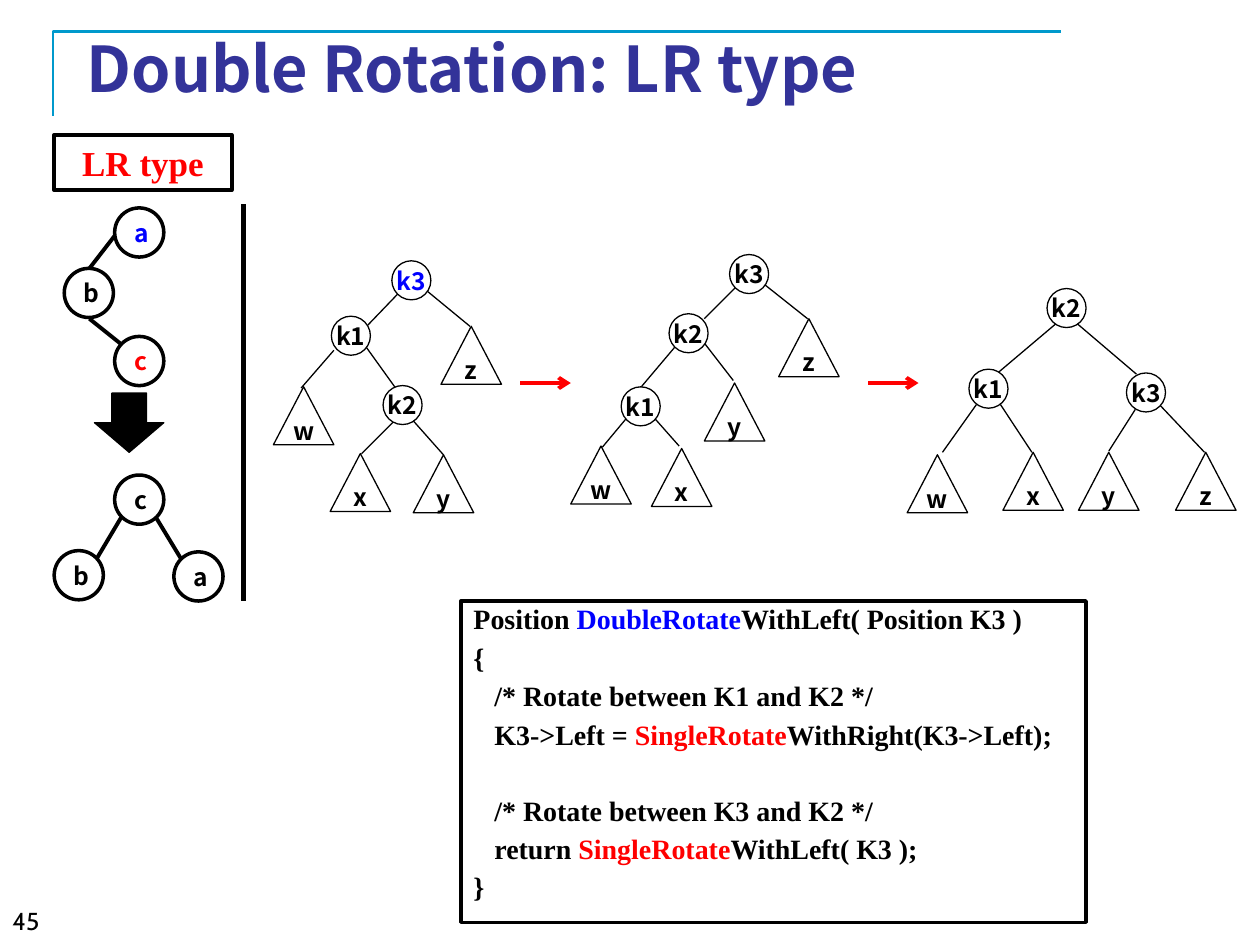
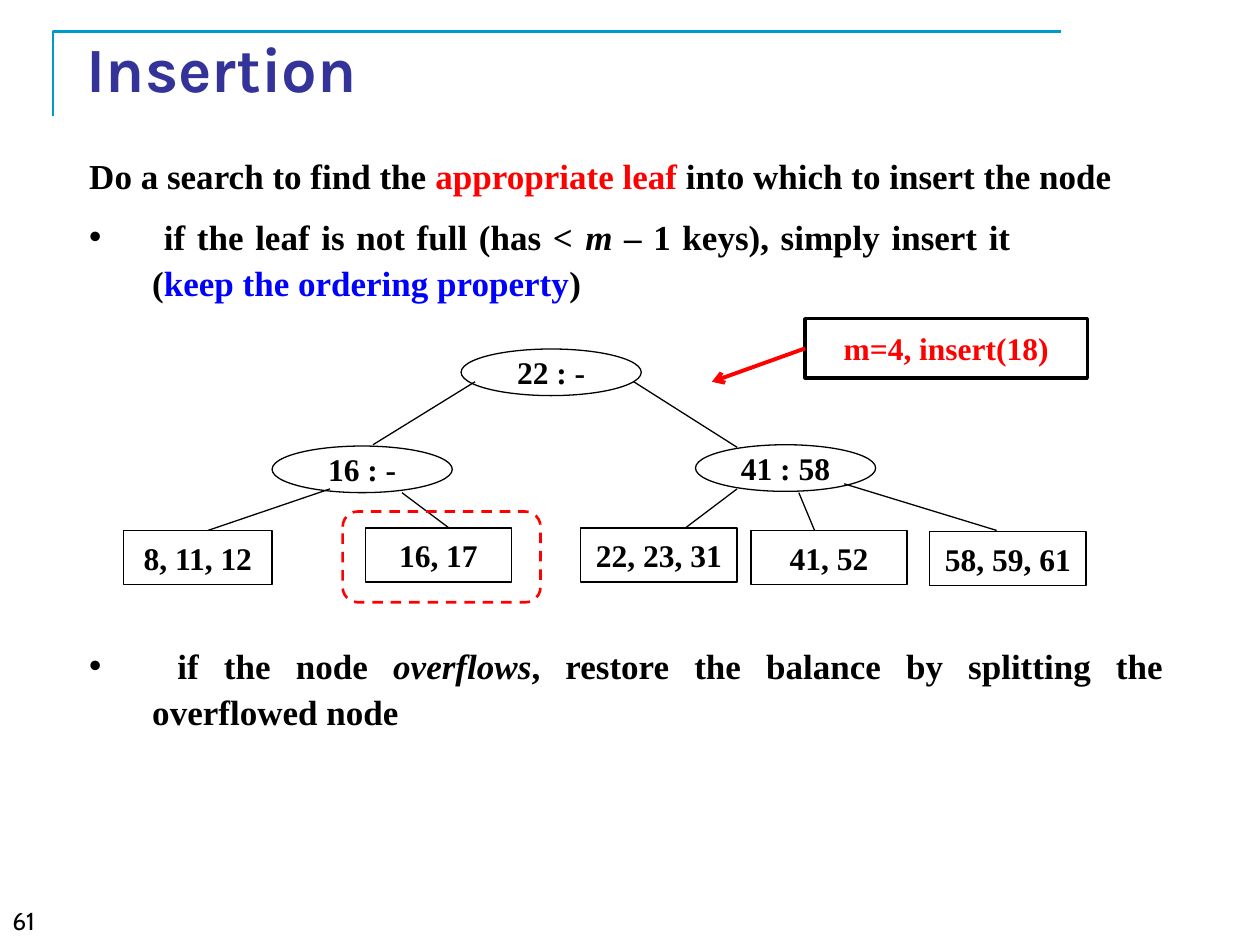
import pptx
import pptx.dml.color
import pptx.enum.dml
import pptx.enum.shapes
import pptx.enum.text
import pptx.oxml.ns
import pptx.util
from lxml import etree

Inches, Pt = pptx.util.Inches, pptx.util.Pt
SHAPE = pptx.enum.shapes.MSO_SHAPE
ALIGN = pptx.enum.text.PP_ALIGN
MIDDLE = pptx.enum.text.MSO_ANCHOR.MIDDLE
qn = pptx.oxml.ns.qn

COLOURS = {
    name: pptx.dml.color.RGBColor.from_string(value)
    for name, value in {
        "black": "000000", "white": "FFFFFF", "red": "FF0000",
        "blue": "0000FF", "title": "333399", "rule": "0099CC",
    }.items()
}

# Text formats
SANS, SERIF = "Noto Sans CJK KR", "Times New Roman"
NODE_FONT = {"name": SANS, "size": Pt(14), "bold": True}
CODE_FONT = {"name": SERIF, "size": Pt(16), "bold": True}
KEY_FONT = {"name": SERIF, "size": Pt(18), "bold": True}
BODY_FONT = {"name": SERIF, "size": Pt(20), "bold": True}
PAGE_FONT = {"name": "Cabin", "size": Pt(14)}
CENTRED = {"alignment": ALIGN.CENTER}
JUSTIFIED = {"alignment": ALIGN.JUSTIFY}
CODE_LINES = {"alignment": ALIGN.JUSTIFY, "line_spacing": 0.7}
BODY_LINES = {"alignment": ALIGN.JUSTIFY, "line_spacing": 1.1}
MID = {"word_wrap": True, "vertical_anchor": MIDDLE}
MID_NO_WRAP = {"word_wrap": False, "vertical_anchor": MIDDLE}
TOP = {"word_wrap": True}


def put(slide, kind, box, lines=(), font=None, para=CENTRED, frame=MID,
        weight=0.75, fill="white", outline="black"):
    """Add a shape (a text box if kind is None); a line is a list of (text, colour, italic)."""
    place = [Inches(v) for v in box]
    if kind is None:
        item = slide.shapes.add_textbox(*place)
    else:
        item = slide.shapes.add_shape(kind, *place)
        item.shadow.inherit = False
        if fill:
            item.fill.solid()
            item.fill.fore_color.rgb = COLOURS[fill]
        else:
            item.fill.background()
        item.line.color.rgb = COLOURS[outline]
        item.line.width = Pt(weight)
    for name, value in frame.items():
        setattr(item.text_frame, name, value)
    for number, line in enumerate(lines):
        paragraph = item.text_frame.paragraphs[0] if number == 0 else item.text_frame.add_paragraph()
        for name, value in para.items():
            setattr(paragraph, name, value)
        for text, colour, *italic in line:
            run = paragraph.add_run()
            run.text = text
            for name, value in font.items():
                setattr(run.font, name, value)
            run.font.color.rgb = COLOURS[colour]
            if italic:
                run.font.italic = italic[0]
    return item


def link(slide, x1, y1, x2, y2, weight=0.75, colour="black", arrow=False):
    connector = slide.shapes.add_connector(
        pptx.enum.shapes.MSO_CONNECTOR.STRAIGHT, *[Inches(v) for v in (x1, y1, x2, y2)])
    connector.line.color.rgb = COLOURS[colour]
    connector.line.width = Pt(weight)
    if arrow:
        etree.SubElement(connector.line._get_or_add_ln(), qn("a:tailEnd"), type="arrow")
    etree.SubElement(connector._element.spPr, qn("a:effectLst"))
    return connector


prs = pptx.Presentation()
prs.slide_width, prs.slide_height = Inches(10), Inches(7.5)

# Shared parts: corner rule, page number, title
slides = []
for title, title_face, page in [("Double Rotation: LR type", SANS, "45"), ("Insertion", "Karla", "61")]:
    slide = prs.slides.add_slide(prs.slide_layouts[6])
    corner = slide.shapes.build_freeform(Inches(0.42), Inches(0.92))
    corner.add_line_segments(
        [(Inches(0.42), Inches(0.25)), (Inches(8.42), Inches(0.25))], close=False)
    corner_rule = corner.convert_to_shape()
    corner_rule.shadow.inherit = False
    corner_rule.fill.background()
    corner_rule.line.color.rgb = COLOURS["rule"]
    corner_rule.line.width = Pt(1.5)
    put(slide, None, (0, 7.14, 3.12, 0.36), [[(page, "black")]], PAGE_FONT, {}, TOP)
    put(slide, None, (0.59, 0.3, 8.5, 0.47), [[(title, "title")]],
        {"name": title_face, "size": Pt(36), "bold": True}, JUSTIFIED)
    slides.append(slide)
rotation, insertion = slides

# Slide 1: the three trees of the rotation, edges below nodes
tree_edges = [
    # before
    (3.16, 2.33, 2.92, 2.58), (2.65, 2.78, 2.39, 3.08), (2.91, 2.76, 3.14, 3.08),
    (3.13, 3.34, 2.87, 3.6), (3.28, 3.34, 3.52, 3.61), (3.39, 2.31, 3.73, 2.59),
    # after the first single rotation
    (5.84, 2.28, 5.59, 2.53), (5.03, 3.25, 4.78, 3.55), (5.58, 2.71, 5.82, 3.02),
    (5.16, 3.28, 5.39, 3.54), (6.07, 2.26, 6.41, 2.53), (5.36, 2.75, 5.09, 3.07),
    # after the second single rotation
    (8.38, 2.57, 7.93, 2.95), (8.55, 2.57, 9.02, 2.97), (7.75, 3.21, 7.48, 3.59),
    (7.94, 3.21, 8.19, 3.59), (9.01, 3.25, 8.8, 3.58), (9.21, 3.22, 9.56, 3.59),
]
tree_keys = [
    ("k3", 3.11, 2.07, "blue"), ("k1", 2.63, 2.51, "black"), ("k2", 3.04, 3.06, "black"),
    ("k3", 5.79, 2.02, "black"), ("k2", 5.31, 2.49, "black"), ("k1", 4.93, 3.07, "black"),
    ("k2", 8.31, 2.29, "black"), ("k1", 7.69, 2.93, "black"), ("k3", 8.94, 2.96, "black"),
]
subtrees = [
    ("w", 2.17, 3.07), ("x", 2.62, 3.6), ("y", 3.28, 3.61), ("z", 3.5, 2.59),
    ("w", 4.53, 3.54), ("x", 5.17, 3.56), ("y", 5.59, 3.04), ("z", 6.18, 2.53),
    ("w", 7.2, 3.61), ("x", 7.96, 3.59), ("y", 8.56, 3.59), ("z", 9.33, 3.59),
]
for edge in tree_edges:
    link(rotation, *edge)
for label, x, y in subtrees:
    put(rotation, SHAPE.ISOSCELES_TRIANGLE, (x, y, 0.48, 0.46), [[(label, "black")]],
        NODE_FONT, frame=MID_NO_WRAP)
for label, x, y, colour in tree_keys:
    put(rotation, SHAPE.OVAL, (x, y, 0.31, 0.31), [[(label, colour)]],
        NODE_FONT, frame=MID_NO_WRAP)
for x in (4.13, 6.89):
    link(rotation, x, 3.04, x + 0.4, 3.04, 2.25, "red", arrow=True)

# Slide 1: LR pattern in the left column
put(rotation, SHAPE.RECTANGLE, (0.43, 1.07, 1.41, 0.44), [[("LR type", "red")]],
    BODY_FONT, weight=2)
link(rotation, 1.93, 1.62, 1.93, 4.77, 3)
for edge in [(0.95, 1.82, 0.71, 2.13), (0.71, 2.53, 0.96, 2.73),
             (0.96, 4.11, 0.77, 4.43), (1.24, 4.11, 1.44, 4.44)]:
    link(rotation, *edge, 2.25)
for label, x, y, colour in [
    ("a", 0.91, 1.65, "blue"), ("b", 0.51, 2.13, "black"), ("c", 0.91, 2.67, "red"),
    ("c", 0.91, 3.77, "black"), ("b", 0.43, 4.37, "black"), ("a", 1.38, 4.38, "black"),
]:
    put(rotation, SHAPE.OVAL, (x, y, 0.39, 0.39), [[(label, colour)]], NODE_FONT, weight=2)
becomes = put(rotation, SHAPE.RIGHT_ARROW, (0.79, 3.08, 0.47, 0.55), fill="black")
becomes.rotation = 90

# Slide 1: code
code = put(rotation, SHAPE.RECTANGLE, (3.66, 4.77, 4.96, 2.55), [
    [("Position ", "black"), ("DoubleRotate", "blue"), ("WithLeft( Position K3 )", "black")],
    [("{", "black")],
    [("   /* Rotate between K1 and K2 */", "black")],
    [("   K3->Left = ", "black"), ("SingleRotate", "red"), ("WithRight(K3->Left);", "black")],
    [("   /* Rotate between K3 and K2 */", "black")],
    [("   return ", "black"), ("SingleRotate", "red"), ("WithLeft( K3 );", "black")],
    [("}", "black")],
], CODE_FONT, CODE_LINES, {
    "word_wrap": True, "vertical_anchor": pptx.enum.text.MSO_ANCHOR.TOP,
    "margin_top": Inches(0.08),
}, weight=2)
for number, paragraph in enumerate(code.text_frame.paragraphs[1:], 1):
    paragraph.space_before = Pt(30 if number == 4 else 8.5)

# Slide 2: rules of insertion
put(insertion, None, (0.61, 1.14, 8.72, 0.45), [[
    ("Do a search to find the ", "black"), ("appropriate leaf", "red"),
    (" into which to insert the node", "black")]], BODY_FONT, BODY_LINES, TOP)
for top, width, words in [
    (1.63, 7.51, [
        (" if the leaf is not full (has < ", "black"), ("m", "black", True),
        (" – 1 keys), simply insert it (", "black"),
        ("keep the ordering property", "blue"), (")", "black")]),
    (5.03, 8.72, [
        (" if the node ", "black"), ("overflows", "black", True),
        (", restore the balance by splitting the overflowed node", "black")]),
]:
    rule = put(insertion, None, (0.61, top, width, 0.85), [words], BODY_FONT, BODY_LINES, TOP)
    props = rule.text_frame.paragraphs[0]._p.get_or_add_pPr()
    props.set("marL", str(Inches(0.5)))
    props.set("indent", str(-Inches(0.5)))
    etree.SubElement(props, qn("a:buFont"), typeface="Arial")
    etree.SubElement(props, qn("a:buChar"), char="•")

# Slide 2: search tree, edges above the inner nodes
for keys, x, y in [("22 : -", 3.66, 2.77), ("16 : -", 2.16, 3.54), ("41 : 58", 5.52, 3.53)]:
    put(insertion, SHAPE.OVAL, (x, y, 1.43, 0.37), [[(keys, "black")]],
        KEY_FONT, frame=MID_NO_WRAP)
for edge in [
    (3.77, 3.03, 2.96, 3.53), (5.03, 3.03, 5.85, 3.55), (1.65, 4.21, 2.62, 3.88),
    (3.59, 4.21, 3.19, 3.91), (5.44, 4.19, 5.85, 3.88), (6.49, 4.27, 6.34, 3.91),
    (7.91, 4.21, 6.7, 3.84),
]:
    link(insertion, *edge)
for keys, x, y, width in [
    ("8, 11, 12", 0.98, 4.21, 1.18), ("16, 17", 2.9, 4.19, 1.16), ("22, 23, 31", 4.61, 4.19, 1.24),
    ("41, 52", 5.96, 4.21, 1.24), ("58, 59, 61", 7.38, 4.22, 1.24),
]:
    put(insertion, SHAPE.RECTANGLE, (x, y, width, 0.43), [[(keys, "black")]], KEY_FONT)

# Slide 2: the inserted key and its leaf
task = put(insertion, SHAPE.RECTANGLE, (6.39, 2.53, 2.24, 0.47),
           [[("m=4, insert(18)", "red")]], KEY_FONT, weight=2)
pointer = link(insertion, 6.39, 2.77, 5.65, 3.03, 2.25, "red", arrow=True)
pointer.begin_connect(task, 1)
target_leaf = put(insertion, SHAPE.ROUNDED_RECTANGLE, (2.72, 4.06, 1.57, 0.72),
                  weight=1.5, fill=None, outline="red")
target_leaf.line.dash_style = pptx.enum.dml.MSO_LINE.DASH

prs.save("out.pptx")
